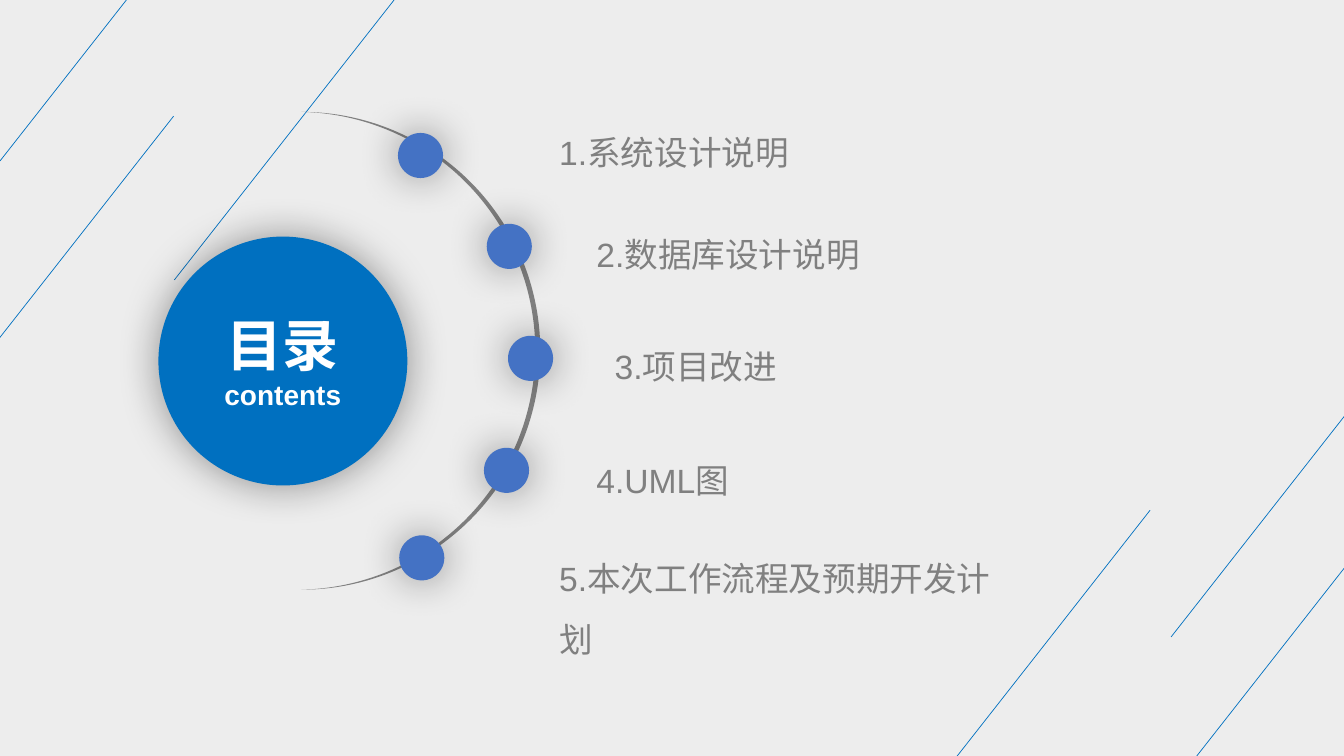
from dataclasses import dataclass

from lxml import etree
from pptx import Presentation
from pptx.dml.color import RGBColor
from pptx.enum import shapes, text
from pptx.oxml import ns
from pptx.util import Pt


@dataclass(frozen=True)
class Theme:
    font: str = "Arial"
    title_size: int = 40
    subtitle_size: int = 20
    item_size: int = 24
    backdrop: str = "D9D9D9"
    accent: str = "0070C0"
    dot: str = "4472C4"
    grey: str = "808080"
    white: str = "FFFFFF"
    shadow: str = "000000"


THEME = Theme()
SLIDE_BOX = (0, 0, 960, 540)

# Every diagonal runs up and right by the same amount
DIAGONAL = (157, -200)
DIAGONAL_STARTS = [(664.5, 564.5), (836.5, 455), (-33, 283),
                   (124.5, 200), (821.5, 582.5), (0, 115)]

# Text, offset from the list box, width, height
ITEMS = [
    ("1.系统设计说明", 0, 0, 424, 45.5),
    ("2.数据库设计说明", 26.6, 72.7, 345.6, 46.5),
    ("3.项目改进", 39.6, 152.7, 345.6, 46.5),
    ("4.UML图", 26.6, 234, 345.6, 46),
    ("5.本次工作流程及预期开发计划", 0, 304.6, 345.6, 89),
]

# Dot corners measured from the arc's box
DOT_SIZE = 32.2
DOTS = [(69, 15.1), (132.4, 80), (147.6, 160), (130.4, 240), (69.9, 302.5)]


def add_child(parent, tag, **attrs):
    return etree.SubElement(parent, ns.qn(tag), {k: str(v) for k, v in attrs.items()})


def set_font(p, size, color, bold=False):
    p.font.name = THEME.font
    p.font.size = Pt(size)
    p.font.bold = bold
    p.font.color.rgb = RGBColor.from_string(color)


def add_filled(s, kind, box, color):
    sp = s.shapes.add_shape(kind, *map(Pt, box))
    sp.shadow.inherit = False
    sp.fill.solid()
    sp.fill.fore_color.rgb = RGBColor.from_string(color)
    sp.line.fill.background()
    return sp


def add_glowing_circle(s, box, color):
    """Circle with a soft shadow on all sides."""
    sp = add_filled(s, shapes.MSO_SHAPE.OVAL, box, color)
    effects = sp._element.spPr.find(ns.qn("a:effectLst"))
    shadow = add_child(effects, "a:outerShdw", blurRad=Pt(30), dist=0, dir=0,
                       algn="ctr", rotWithShape=0)
    tint = add_child(shadow, "a:srgbClr", val=THEME.shadow)
    add_child(tint, "a:alpha", val=40000)
    return sp


def add_backdrop(s, box):
    # Translucent panel
    sp = add_filled(s, shapes.MSO_SHAPE.RECTANGLE, box, THEME.backdrop)
    tint = sp._element.spPr.find(".//" + ns.qn("a:srgbClr"))
    add_child(tint, "a:alpha", val=46000)

    # Diagonal lines
    left, top = box[:2]
    dx, dy = DIAGONAL
    for x, y in DIAGONAL_STARTS:
        x, y = left + x, top + y
        line = s.shapes.add_connector(shapes.MSO_CONNECTOR.STRAIGHT,
                                      *map(Pt, (x, y, x + dx, y + dy)))
        line.line.color.rgb = RGBColor.from_string(THEME.accent)
        line.line.width = Pt(0.5)
        add_child(line._element.spPr, "a:effectLst")


def add_agenda(s, left, top):
    for label, dx, dy, width, height in ITEMS:
        sp = s.shapes.add_textbox(*map(Pt, (left + dx, top + dy, width, height)))
        tf = sp.text_frame
        tf.word_wrap = True
        tf.auto_size = text.MSO_AUTO_SIZE.SHAPE_TO_FIT_TEXT
        p = tf.paragraphs[0]
        p.text = label
        p.line_spacing = 1.5
        set_font(p, THEME.item_size, THEME.grey)


def add_hub(s, box):
    sp = add_glowing_circle(s, box, THEME.accent)
    tf = sp.text_frame
    tf.word_wrap = True
    tf.vertical_anchor = text.MSO_ANCHOR.MIDDLE
    tf.text = "目录\ncontents"
    for p, size in zip(tf.paragraphs, (THEME.title_size, THEME.subtitle_size)):
        p.alignment = text.PP_ALIGN.CENTER
        set_font(p, size, THEME.white, bold=True)


def add_arc(s, box):
    # Thin crescent
    moon = add_filled(s, shapes.MSO_SHAPE.MOON, box, THEME.grey)
    moon.adjustments[0] = 0.021
    moon.rotation = 180

    # Dots along the crescent
    left, top = box[:2]
    for dx, dy in DOTS:
        add_glowing_circle(s, (left + dx, top + dy, DOT_SIZE, DOT_SIZE), THEME.dot)


def main():
    prs = Presentation()
    prs.slide_width, prs.slide_height = map(Pt, SLIDE_BOX[2:])
    s = prs.slides.add_slide(prs.slide_layouts[6])
    add_backdrop(s, SLIDE_BOX)
    add_agenda(s, 392.4, 76.3)
    add_hub(s, (113.2, 169, 177.8, 177.8))
    add_arc(s, (215.3, 79.9, 170.6, 341.3))
    prs.save("out.pptx")


if __name__ == "__main__":
    main()
